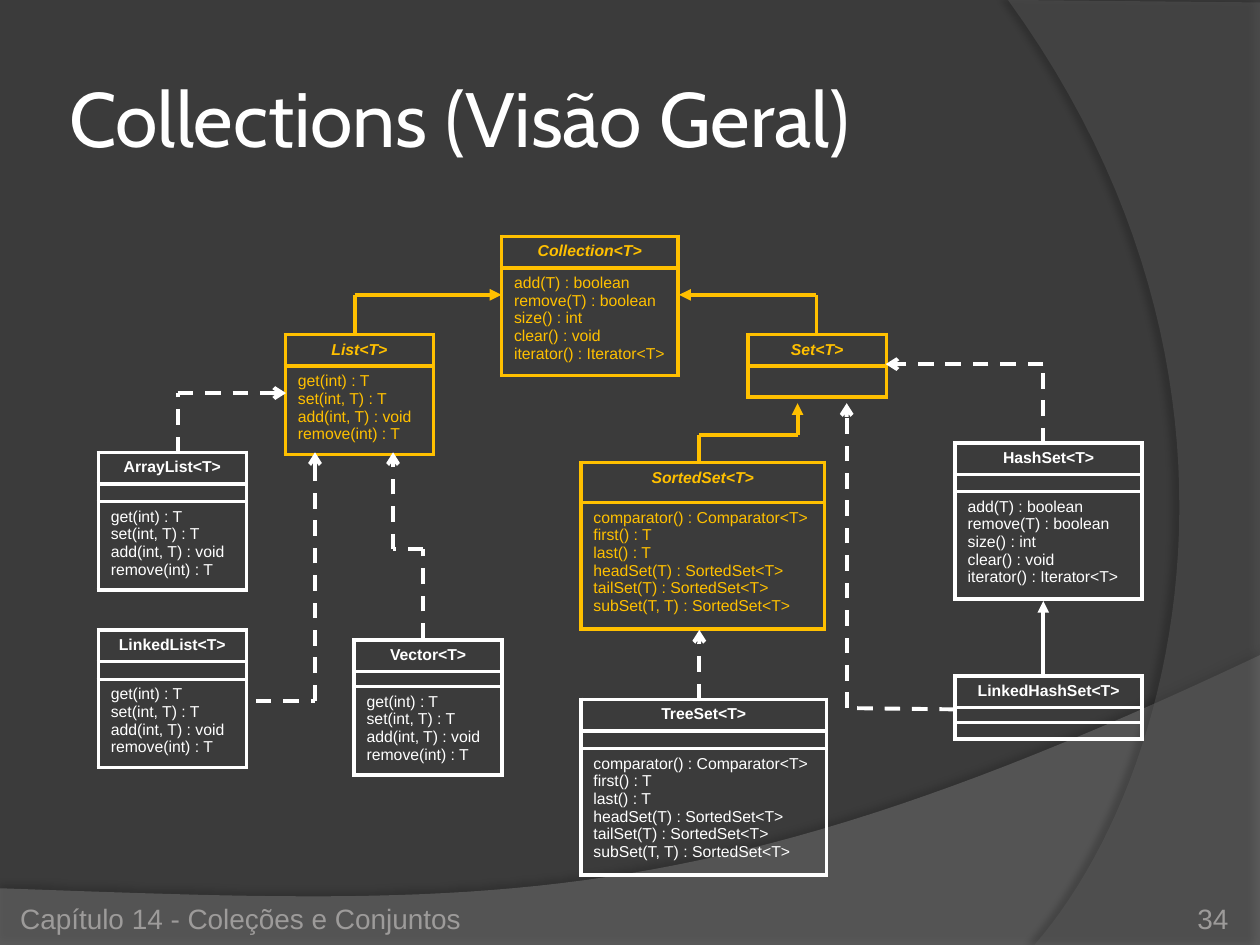
from dataclasses import dataclass
from itertools import pairwise

from lxml.etree import SubElement
from pptx import Presentation
from pptx.dml.color import RGBColor
from pptx.enum.dml import MSO_LINE_DASH_STYLE as Dash
from pptx.enum.shapes import MSO_CONNECTOR as Connector
from pptx.enum.text import MSO_ANCHOR as Anchor, PP_ALIGN as Align
from pptx.oxml import parse_xml
from pptx.oxml.ns import nsdecls, qn
from pptx.util import Inches, Length, Pt

Point = tuple[float, float]
COLUMNS, ROWS = 100, 75  # square grid cells, a tenth of an inch each


@dataclass(frozen=True)
class Theme:
    background: str = "3B3B3B"
    interface: str = "FFC000"
    concrete: str = "FFFFFF"
    footer: str = "9D9B9A"
    heading_font: str = "Cabin"
    body_font: str = "Arial"
    title_size: float = 44
    footer_size: float = 16
    class_size: float = 9
    empty_size: float = 5
    line_width: float = 2.25


THEME = Theme()


@dataclass(frozen=True)
class ClassBox:
    """A UML class; its compartments are name, optional attributes, methods."""
    name: str
    left: float
    top: float
    width: float
    heights: tuple[float, ...]
    methods: tuple[str, ...] = ()
    interface: bool = False


@dataclass(frozen=True)
class Route:
    """A path of straight segments whose last point carries the arrowhead."""
    points: tuple[Point, ...]
    color: str = THEME.concrete
    dashed: bool = False
    head: str = "triangle"


@dataclass(frozen=True)
class Swoosh:
    """A background area with one curved edge, closed along its corners."""
    corners: tuple[Point, ...]
    curve: tuple[Point, Point, Point, Point]
    color: str
    opacity: int
    shadow_opacity: int
    shadow_distance: float
    shadow_angle: int


LIST_METHODS = ("get(int) : T", "set(int, T) : T", "add(int, T) : void", "remove(int) : T")
COLLECTION_METHODS = ("add(T) : boolean", "remove(T) : boolean", "size() : int",
                      "clear() : void", "iterator() : Iterator<T>")
SORTED_METHODS = ("comparator() : Comparator<T>", "first() : T", "last() : T",
                  "headSet(T) : SortedSet<T>", "tailSet(T) : SortedSet<T>",
                  "subSet(T, T) : SortedSet<T>")

CLASSES = (
    ClassBox("Collection<T>", 39.8, 18.75, 14, (2.4, 8.05), COLLECTION_METHODS, True),
    ClassBox("List<T>", 22.65, 26.55, 11.75, (2.4, 6.7), LIST_METHODS, True),
    ClassBox("Set<T>", 59.35, 26.55, 11, (2.4, 2.45), (), True),
    ClassBox("SortedSet<T>", 46.1, 36.7, 19.35, (3.2, 9.4), SORTED_METHODS, True),
    ClassBox("ArrayList<T>", 7.8, 35.9, 11.75, (2.4, 1.4, 6.65), LIST_METHODS),
    ClassBox("LinkedList<T>", 7.8, 50, 11.75, (2.4, 1.4, 6.65), LIST_METHODS),
    ClassBox("Vector<T>", 28.1, 50.8, 11.75, (2.5, 1.2, 6.65), LIST_METHODS),
    ClassBox("HashSet<T>", 75.8, 35.15, 14.85, (2.4, 1.35, 8.05), COLLECTION_METHODS),
    ClassBox("LinkedHashSet<T>", 75.8, 53.65, 14.85, (2.4, 1.2, 1.3)),
    ClassBox("TreeSet<T>", 46.1, 55.5, 19.5, (2.4, 1.4, 9.4), SORTED_METHODS),
)


def extends(*points: Point) -> Route:
    return Route(points, THEME.interface)


def implements(*points: Point) -> Route:
    return Route(points, dashed=True, head="arrow")


ROUTES = (
    extends((28.15, 26.6), (28.15, 23.4), (39.8, 23.4)),
    extends((64.8, 26.6), (64.8, 23.4), (53.9, 23.4)),
    extends((55.5, 36.7), (55.5, 34.5), (63.3, 34.5), (63.3, 32)),
    implements((14.1, 35.9), (14.1, 31.2), (22.7, 31.2)),
    implements((20.3, 55.6), (25, 55.6), (25, 35.9)),
    implements((33.6, 50.7), (33.6, 43.6), (31.2, 43.6), (31.2, 35.9)),
    implements((55.5, 55.5), (55.5, 50)),
    implements((82.8, 35.2), (82.8, 28.9), (70.3, 28.9)),
    implements((75.8, 56.3), (67.2, 56.2), (67.2, 32)),
    Route(((82.8, 53.7), (82.8, 47.7))),
)

SWOOSHES = (
    Swoosh(((0, 70.5), (0, ROWS), (COLUMNS, ROWS)),
           ((COLUMNS, 52), (55.9, 72.9), (39.1, 71.9), (0, 70.5)), "7F7F7F", 45, 35, 3.5, 270),
    Swoosh(((COLUMNS, 0.2), (COLUMNS, ROWS)),
           ((82.1, ROWS), (93.5, 61.9), (101.8, 30), (80, 0)), "5E5E5E", 40, 45, 4, 180),
)


def grid(cells: float) -> Length:
    return Inches(cells / 10)


def bezier(curve: tuple[Point, Point, Point, Point], steps: int = 48) -> list[Point]:
    points = []
    for step in range(steps + 1):
        t = step / steps
        weights = ((1 - t) ** 3, 3 * t * (1 - t) ** 2, 3 * t * t * (1 - t), t ** 3)
        points.append(tuple(sum(w * p[axis] for w, p in zip(weights, curve)) for axis in (0, 1)))
    return points


def draw_swoosh(slide, swoosh: Swoosh) -> None:
    outline = [(grid(x), grid(y)) for x, y in (*swoosh.corners, *bezier(swoosh.curve))]
    builder = slide.shapes.build_freeform(*outline[0])
    builder.add_line_segments(outline[1:], close=True)
    shape = builder.convert_to_shape()
    shape.fill.solid()
    shape.fill.fore_color.rgb = RGBColor.from_string(swoosh.color)
    shape.line.fill.background()
    shape.shadow.inherit = False
    properties = shape.element.spPr
    color = properties.find(f"{qn('a:solidFill')}/{qn('a:srgbClr')}")
    SubElement(color, qn("a:alpha"), val=str(swoosh.opacity * 1000))
    properties.find(qn("a:effectLst")).append(parse_xml(
        f'<a:outerShdw {nsdecls("a")} blurRad="{Pt(4)}" dist="{Pt(swoosh.shadow_distance)}" '
        f'dir="{swoosh.shadow_angle * 60000}" rotWithShape="0"><a:srgbClr val="000000">'
        f'<a:alpha val="{swoosh.shadow_opacity * 1000}"/></a:srgbClr></a:outerShdw>'))


def format_text(frame, size: float, color: str, font: str = THEME.body_font,
                align: Align = Align.LEFT, bold: bool = False, italic: bool = False) -> None:
    for para in frame.paragraphs:
        para.alignment = align
        for span in para.runs:
            span.font.size, span.font.name = Pt(size), font
            span.font.bold, span.font.italic = bold, italic
            span.font.color.rgb = RGBColor.from_string(color)


def add_label(slide, text: str, area: tuple[float, ...], insets: tuple[float, ...],
              anchor: Anchor, **style) -> None:
    """Area is left, top, width, height; insets are left, top, right, bottom."""
    frame = slide.shapes.add_textbox(*map(grid, area)).text_frame
    frame.word_wrap = True
    frame.vertical_anchor = anchor
    frame.margin_left, frame.margin_top, frame.margin_right, frame.margin_bottom = map(grid, insets)
    frame.text = text
    format_text(frame, **style)


def outline_cell(cell, color: str) -> None:
    cell.fill.background()
    properties = cell._tc.get_or_add_tcPr()
    for index, side in enumerate("LRTB"):
        properties.insert(index, parse_xml(
            f'<a:ln{side} {nsdecls("a")} w="{Pt(THEME.line_width)}"><a:solidFill>'
            f'<a:srgbClr val="{color}"/></a:solidFill></a:ln{side}>'))


def draw_class(slide, box: ClassBox) -> None:
    color = THEME.interface if box.interface else THEME.concrete
    table = slide.shapes.add_table(len(box.heights), 1, grid(box.left), grid(box.top),
                                   grid(box.width), grid(sum(box.heights))).table
    table.first_row = table.horz_banding = False
    texts = [box.name, *[""] * (len(box.heights) - 2), "\n".join(box.methods)]
    for index, (text, height) in enumerate(zip(texts, box.heights)):
        table.rows[index].height = grid(height)
        cell = table.cell(index, 0)
        outline_cell(cell, color)
        cell.margin_top = cell.margin_bottom = grid(0.5 if text else 0)
        if text:
            cell.text_frame.text = text
            is_name = index == 0
            format_text(cell.text_frame, THEME.class_size, color, bold=is_name,
                        italic=is_name and box.interface,
                        align=Align.CENTER if is_name else Align.LEFT)
        else:
            SubElement(cell.text_frame.paragraphs[0]._p, qn("a:endParaRPr"),
                       sz=str(int(THEME.empty_size * 100)))


def draw_route(slide, route: Route) -> None:
    for start, end in pairwise(route.points):
        line = slide.shapes.add_connector(Connector.STRAIGHT, *map(grid, (*start, *end)))
        line.line.width = Pt(THEME.line_width)
        line.line.color.rgb = RGBColor.from_string(route.color)
        if route.dashed:
            line.line.dash_style = Dash.DASH
        properties = line.element.spPr
        if end == route.points[-1]:
            SubElement(properties.find(qn("a:ln")), qn("a:tailEnd"), type=route.head)
        SubElement(properties, qn("a:effectLst"))


def main() -> None:
    deck = Presentation()
    deck.slide_width, deck.slide_height = grid(COLUMNS), grid(ROWS)
    slide = deck.slides.add_slide(deck.slide_layouts[6])
    slide.background.fill.solid()
    slide.background.fill.fore_color.rgb = RGBColor.from_string(THEME.background)
    for swoosh in SWOOSHES:
        draw_swoosh(slide, swoosh)
    add_label(slide, "Collections (Visão Geral)", (5, 3, 88.3, 12.5), (0.5,) * 4, Anchor.MIDDLE,
              size=THEME.title_size, color=THEME.concrete, font=THEME.heading_font)
    for box in CLASSES:
        draw_class(slide, box)
    for route in ROUTES:
        draw_route(slide, route)
    footer = {"anchor": Anchor.BOTTOM, "size": THEME.footer_size, "color": THEME.footer}
    add_label(slide, "Capítulo 14 - Coleções e Conjuntos", (1.6, 70.2, 62.5, 4),
              (0, 0.5, 0, 0), **footer)
    add_label(slide, "34", (89.2, 70.2, 8.3, 4), (0,) * 4, align=Align.RIGHT, **footer)
    deck.save("out.pptx")


if __name__ == "__main__":
    main()
